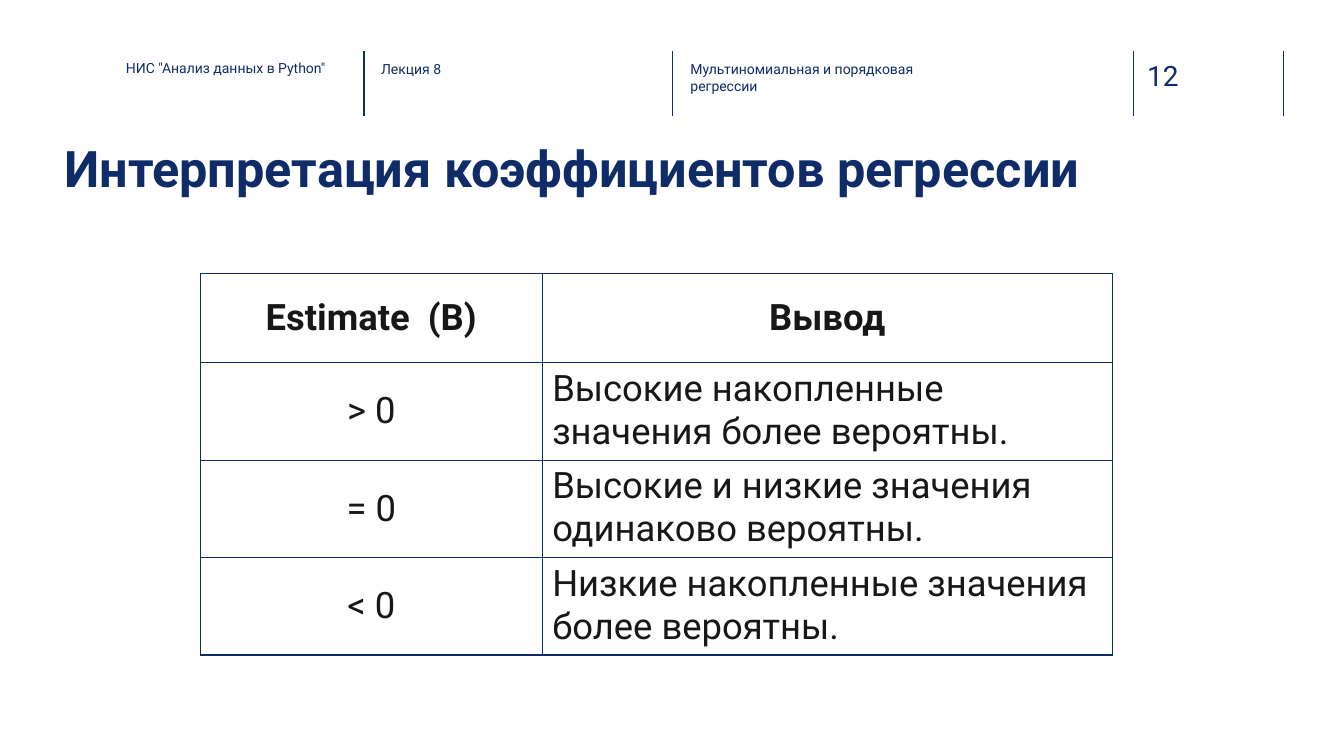
from lxml import etree
from pptx import Presentation
from pptx.dml.color import RGBColor
from pptx.enum.shapes import MSO_CONNECTOR
from pptx.enum.text import MSO_ANCHOR, PP_ALIGN
from pptx.oxml.ns import qn
from pptx.util import Pt

LINE = MSO_CONNECTOR.STRAIGHT
TOP, MIDDLE = MSO_ANCHOR.TOP, MSO_ANCHOR.MIDDLE
LEFT, CENTER = PP_ALIGN.LEFT, PP_ALIGN.CENTER

NAVY = RGBColor(0x10, 0x2D, 0x69)
BLUE = RGBColor(0x0F, 0x2C, 0x68)
INK = RGBColor(0x18, 0x17, 0x17)
WHITE = RGBColor(0xFF, 0xFF, 0xFF)
FONT = "Roboto"

ROWS = [
    ("Estimate  (B)", "Вывод"),
    ("> 0", "Высокие накопленные значения более вероятны."),
    ("= 0", "Высокие и низкие значения одинаково вероятны."),
    ("< 0", "Низкие накопленные значения более вероятны."),
]


def write(frame, text, size, color=BLUE, bold=False, align=LEFT):
    frame.word_wrap = True
    para = frame.paragraphs[0]
    para.alignment = align
    run = para.add_run()
    run.text = text
    font = run.font
    font.name, font.size, font.bold = FONT, Pt(size), bold
    font.color.rgb = color


def label(slide, text, box, size, **style):
    frame = slide.shapes.add_textbox(*map(Pt, box)).text_frame
    frame.margin_left = frame.margin_right = 0
    frame.margin_top = frame.margin_bottom = 0
    write(frame, text, size, **style)


def rule(slide, x, top, height):
    line = slide.shapes.add_connector(LINE, Pt(x), Pt(top), Pt(x), Pt(top + height))
    line.line.color.rgb = NAVY
    line.line.width = Pt(1)
    etree.SubElement(line._element.spPr, qn("a:effectLst"))


def header(slide, left, top, width, height):
    # Dividers, the last one on the right edge
    for x in (170, 390.5, 719.5, width):
        rule(slide, left + x, top, height)
    # Captions and page number
    for text, x, y, wide, size in (
        ('НИС "Анализ данных в Python"', 0, 5.8, 159, 10),
        ("Лекция 8", 182.2, 6.5, 163, 10),
        ("Мультиномиальная и порядковая регрессии", 403.2, 6.5, 163, 10),
        ("12", 729.4, 5, 52.5, 20),
    ):
        label(slide, text, (left + x, top + y, wide, 32), size, color=NAVY)


def border(cell):
    props = cell._tc.get_or_add_tcPr()
    for side in ("lnL", "lnR", "lnT", "lnB"):
        edge = etree.SubElement(props, qn(f"a:{side}"), w=str(Pt(1)))
        fill = etree.SubElement(edge, qn("a:solidFill"))
        etree.SubElement(fill, qn("a:srgbClr"), val=str(BLUE))


def grid(slide, left, top, width, height):
    box = map(Pt, (left, top, width, height))
    table = slide.shapes.add_table(len(ROWS), 2, *box).table
    table.first_row = table.horz_banding = False
    # Column widths and row heights
    first, head = 244, 64
    table.columns[0].width = Pt(first)
    table.columns[1].width = Pt(width - first)
    for r, row in enumerate(table.rows):
        row.height = Pt((height - head) / (len(ROWS) - 1) if r else head)
    # Cells: only the conclusions are set left and top
    for r, texts in enumerate(ROWS):
        for c, text in enumerate(texts):
            cell = table.cell(r, c)
            border(cell)
            cell.fill.solid()
            cell.fill.fore_color.rgb = WHITE
            prose = r > 0 and c > 0
            cell.vertical_anchor = TOP if prose else MIDDLE
            write(cell.text_frame, text, 26, color=INK, bold=r == 0,
                  align=LEFT if prose else CENTER)


def main():
    deck = Presentation()
    deck.slide_width, deck.slide_height = Pt(960), Pt(540)
    slide = deck.slides.add_slide(deck.slide_layouts[6])
    header(slide, 90, 36.7, 826.6, 46.1)
    label(slide, "Интерпретация коэффициентов регрессии",
          (46, 98, 870.5, 61), 36, bold=True)
    grid(slide, 143.3, 195.1, 651.4, 268.6)
    deck.save("out.pptx")


if __name__ == "__main__":
    main()
